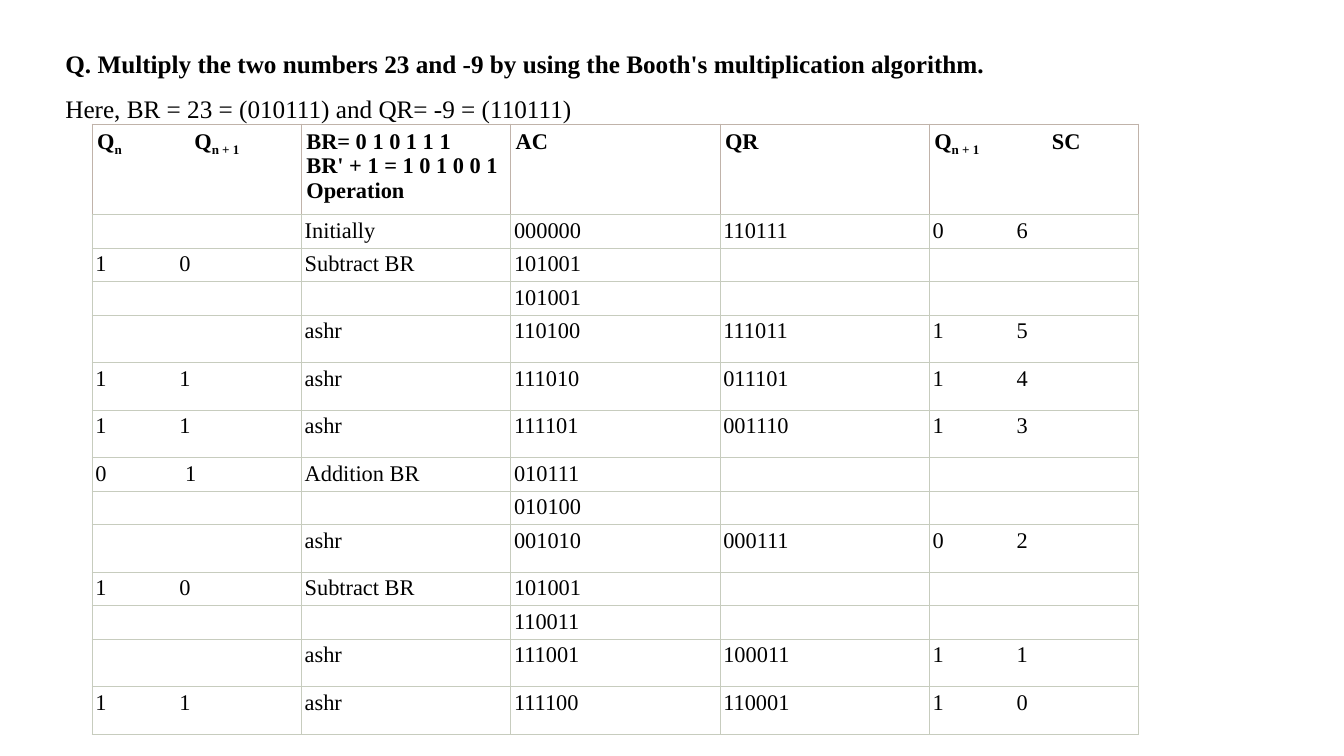
"""Build a slide that works through Booth's multiplication of 23 and -9."""
from dataclasses import dataclass

from lxml.etree import SubElement
from pptx import Presentation
from pptx.dml.color import RGBColor as RGB
from pptx.enum.text import MSO_AUTO_SIZE as AutoSize, PP_ALIGN as Align
from pptx.oxml import parse_xml
from pptx.oxml.ns import nsdecls, qn
from pptx.util import Pt

COLORS = {"text": "000000", "cell": "FFFFFF", "header": "C0B3AA", "grid": "C7CCBE"}
FONT = "Times New Roman"
COL_WIDTH = 149.5
HEADER_HEIGHT, SHORT_HEIGHT, TALL_HEIGHT = 63.6, 23.6, 33.9


@dataclass
class Step:
    bits: str = ""
    operation: str = ""
    ac: str = ""
    qr: str = ""
    count: str = ""
    tab: float = 60

    @property
    def height(self) -> float:
        return TALL_HEIGHT if self.operation == "ashr" else SHORT_HEIGHT

    @property
    def cells(self) -> list[str]:
        return [self.bits, self.operation, self.ac, self.qr, self.count]


@dataclass
class Heading:
    text: str
    tab: float = 0


HEADINGS = [
    Heading("Q|n|\tQ|n + 1", 69.5),
    Heading("BR= 0 1 0 1 1 1\vBR' + 1 = 1 0 1 0 0 1\nOperation"),
    Heading("AC"),
    Heading("QR"),
    Heading("Q|n + 1|\tSC", 84),
]
STEPS = [
    Step("", "Initially", "000000", "110111", "0\t6"),
    Step("1\t0", "Subtract BR", "101001"),
    Step(ac="101001"),
    Step("", "ashr", "110100", "111011", "1\t5"),
    Step("1\t1", "ashr", "111010", "011101", "1\t4"),
    Step("1\t1", "ashr", "111101", "001110", "1\t3"),
    Step("0\t1", "Addition BR", "010111", tab=64),
    Step(ac="010100"),
    Step("", "ashr", "001010", "000111", "0\t2"),
    Step("1\t0", "Subtract BR", "101001"),
    Step(ac="110011"),
    Step("", "ashr", "111001", "100011", "1\t1"),
    Step("1\t1", "ashr", "111100", "110001", "1\t0"),
]


def style(p, size: float, bold: bool) -> None:
    p.font.name, p.font.size, p.font.bold = FONT, Pt(size), bold
    p.font.color.rgb = RGB.from_string(COLORS["text"])


def set_tab(p, pos: float) -> None:
    tabs = parse_xml(f"<a:tabLst {nsdecls('a')}/>")
    SubElement(tabs, qn("a:tab"), pos=str(Pt(pos)), algn="l")
    p._p.get_or_add_pPr().insert(0, tabs)


def set_border(cell, side: str, color: str, index: int) -> None:
    line = parse_xml(
        f'<a:ln{side} {nsdecls("a")} w="{Pt(0.75)}"><a:solidFill>'
        f'<a:srgbClr val="{color}"/></a:solidFill></a:ln{side}>')
    cell._tc.get_or_add_tcPr().insert(index, line)


def fill_cell(cell, text: str, tab: float, header: bool) -> None:
    cell.fill.solid()
    cell.fill.fore_color.rgb = RGB.from_string(COLORS["cell"])
    inset = Pt(3.6 if header else 2.4)
    cell.margin_left = cell.margin_right = inset
    cell.margin_top = cell.margin_bottom = inset
    for i, side in enumerate("LRTB"):
        kind = "header" if header and side != "B" else "grid"
        set_border(cell, side, COLORS[kind], i)
    tf = cell.text_frame
    for i, line in enumerate(text.split("\n")):
        p = tf.add_paragraph() if i else tf.paragraphs[0]
        style(p, 16, header)
        if not header:
            p.alignment = Align.JUSTIFY
        if "\t" in line:
            set_tab(p, tab)
        if "|" not in line:
            p.text = line
            continue
        for j, part in enumerate(line.split("|")):
            r = p.add_run()
            r.text = part
            if j % 2:
                r._r.get_or_add_rPr().set("baseline", "-25000")


def add_question(s) -> None:
    tf = s.shapes.add_textbox(Pt(39.6), Pt(20.2), Pt(884.9), Pt(69.1)).text_frame
    tf.word_wrap = True
    tf.auto_size = AutoSize.SHAPE_TO_FIT_TEXT
    tf.text = ("Q. Multiply the two numbers 23 and -9 by using the Booth's "
               "multiplication algorithm.\n"
               "Here, BR = 23 = (010111) and QR= -9 = (110111)")
    for p, bold in zip(tf.paragraphs, (True, False)):
        style(p, 18, bold)
        p.alignment, p.line_spacing = Align.JUSTIFY, 1.5


def add_steps(s) -> None:
    heights = [HEADER_HEIGHT] + [step.height for step in STEPS]
    table = s.shapes.add_table(
        len(heights), len(HEADINGS), Pt(65.8), Pt(88.6),
        Pt(COL_WIDTH * len(HEADINGS)), Pt(sum(heights))).table
    table.first_row = table.horz_banding = False
    for col in table.columns:
        col.width = Pt(COL_WIDTH)
    for row, height in zip(table.rows, heights):
        row.height = Pt(height)
    for c, heading in enumerate(HEADINGS):
        fill_cell(table.cell(0, c), heading.text, heading.tab, True)
    for r, step in enumerate(STEPS, 1):
        for c, text in enumerate(step.cells):
            fill_cell(table.cell(r, c), text, step.tab, False)


def main() -> None:
    prs = Presentation()
    prs.slide_width, prs.slide_height = Pt(960), Pt(540)
    s = prs.slides.add_slide(prs.slide_layouts[6])
    add_question(s)
    add_steps(s)
    prs.save("out.pptx")


if __name__ == "__main__":
    main()
